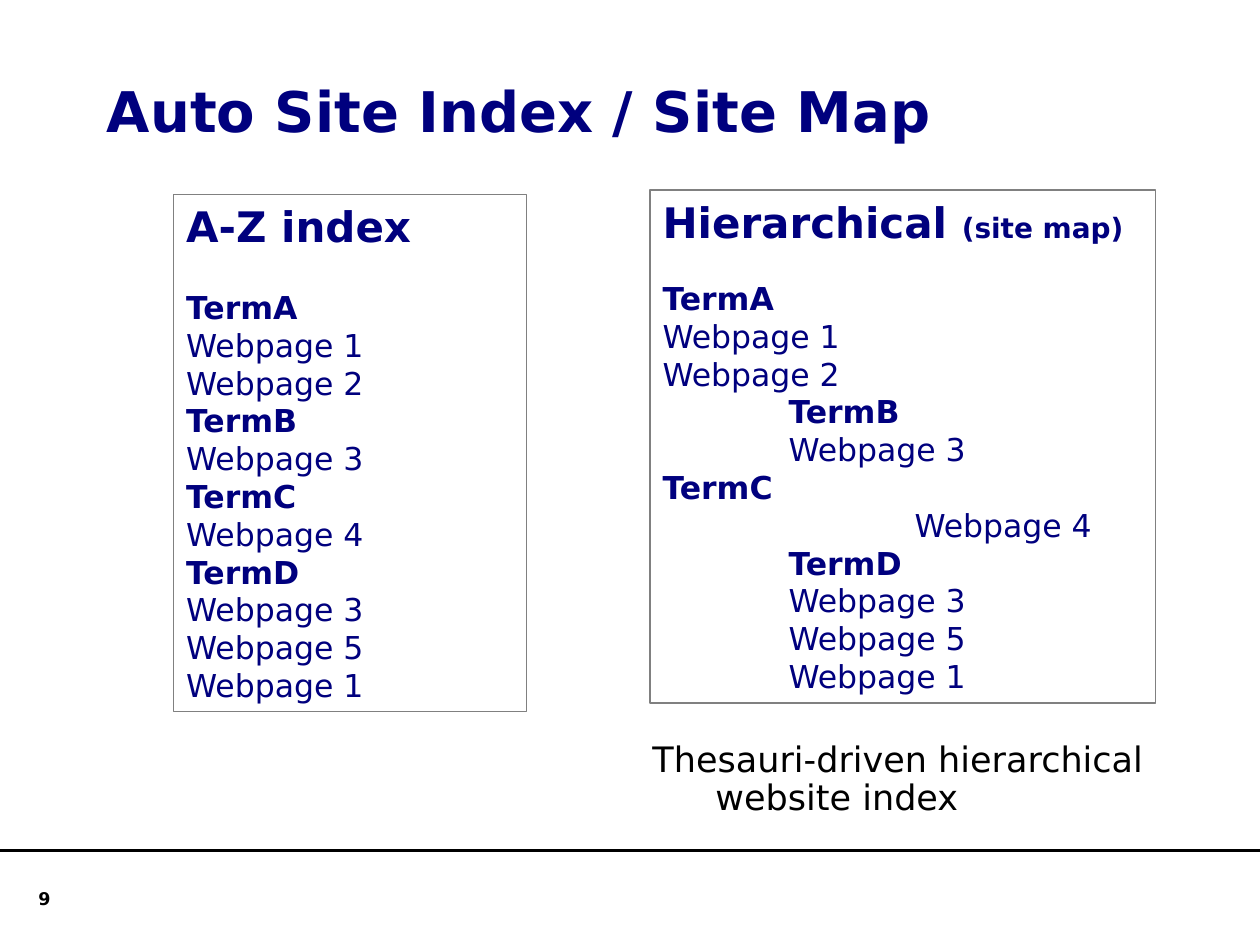
from dataclasses import dataclass, field

from pptx import Presentation
from pptx.dml.color import RGBColor
from pptx.enum.shapes import MSO_CONNECTOR as Conn, MSO_SHAPE as Kind
from pptx.enum.text import MSO_ANCHOR as Anchor, PP_ALIGN as Align
from pptx.oxml.ns import qn
from pptx.util import Inches, Pt

WIDE, HIGH = 10, 7.5
FONT = "DejaVu Sans"
NAVY, BLACK, GREY = "00007E", "000000", "808080"
STEP = 1  # inches per outline level


@dataclass
class Run:
    text: str
    size: float = 18
    bold: bool = False
    color: str = NAVY


@dataclass
class Para:
    runs: list[Run]
    level: float = 0
    hang: float = 0
    form: dict = field(default_factory=dict)


@dataclass
class Box:
    """Place as shares of the slide: left, top, width, height."""
    place: tuple[float, float, float, float]
    paras: list[Para]
    edge: str = ""
    anchor: Anchor = Anchor.TOP


def paint(code: str) -> RGBColor:
    return RGBColor.from_string(code)


def apply(item, form: dict) -> None:
    for name, value in form.items():
        setattr(item, name, value)


def write(para, data: Para) -> None:
    apply(para, {"alignment": Align.LEFT} | data.form)
    props = para._p.get_or_add_pPr()
    props.set("marL", str(Inches(data.level * STEP)))
    props.set("indent", str(Inches(-data.hang)))
    for part in data.runs:
        run = para.add_run()
        run.text = part.text
        apply(run.font, {"name": FONT, "size": Pt(part.size), "bold": part.bold})
        run.font.color.rgb = paint(part.color)


def draw(slide, box: Box) -> None:
    left, top, wide, high = box.place
    spot = (Inches(left * WIDE), Inches(top * HIGH),
            Inches(wide * WIDE), Inches(high * HIGH))
    if box.edge:
        shape = slide.shapes.add_shape(Kind.RECTANGLE, *spot)
        shape.shadow.inherit = False
        shape.fill.background()
        shape.line.color.rgb = paint(box.edge)
        shape.line.width = Pt(0.75)
    else:
        shape = slide.shapes.add_textbox(*spot)
    frame = shape.text_frame
    apply(frame, {"word_wrap": True, "vertical_anchor": box.anchor})
    for num, data in enumerate(box.paras):
        write(frame.add_paragraph() if num else frame.paragraphs[0], data)


def rule(slide, share: float) -> None:
    y = Inches(share * HIGH)
    line = slide.shapes.add_connector(Conn.STRAIGHT, 0, y, Inches(WIDE), y)
    line.line.color.rgb = paint(BLACK)
    line.line.width = Pt(2.25)
    props = line._element.spPr
    props.append(props.makeelement(qn("a:effectLst"), {}))


def outline(head: list[Run], gap: float, rows: list[tuple[int, str]]) -> list[Para]:
    """Heading, a gap in points, then rows of (level, text) with bold terms."""
    paras = [Para([Run(text, bold=text.startswith("Term"))], level)
             for level, text in rows]
    paras[0].form["space_before"] = Pt(gap)
    return [Para(head), *paras]


def page(num: int) -> str:
    return f"Webpage {num}"


INDEX = [(0, "TermA"), (0, page(1)), (0, page(2)), (0, "TermB"), (0, page(3)),
         (0, "TermC"), (0, page(4)), (0, "TermD"), (0, page(3)), (0, page(5)),
         (0, page(1))]
TREE = [(0, "TermA"), (0, page(1)), (0, page(2)), (1, "TermB"), (1, page(3)),
        (0, "TermC"), (2, page(4)), (1, "TermD"), (1, page(3)), (1, page(5)),
        (1, page(1))]

BOXES = [
    Box((0.075, 0.033, 0.85, 0.167),
        [Para([Run("Auto Site Index / Site Map", 32, True)])],
        anchor=Anchor.MIDDLE),
    Box((0.138, 0.206, 0.28, 0.547),
        outline([Run("A-Z index", 24, True)], 21, INDEX), GREY),
    Box((0.516, 0.201, 0.401, 0.543),
        outline([Run("Hierarchical ", 24, True), Run("(site map)", 16, True)],
                18.6, TREE), GREY),
    Box((0.508, 0.779, 0.449, 0.161),
        [Para([Run("Thesauri-driven hierarchical website index", 20, color=BLACK)],
              0.5, 0.5, {"line_spacing": 0.9, "space_before": Pt(5)})]),
    Box((0, 0.933, 0.05, 0.067),
        [Para([Run("9", 10, True, BLACK)], form={"alignment": Align.RIGHT})]),
]


def main() -> None:
    deck = Presentation()
    apply(deck, {"slide_width": Inches(WIDE), "slide_height": Inches(HIGH)})
    slide = deck.slides.add_slide(deck.slide_layouts[6])
    rule(slide, 0.9)
    for box in BOXES:
        draw(slide, box)
    deck.save("out.pptx")


if __name__ == "__main__":
    main()
